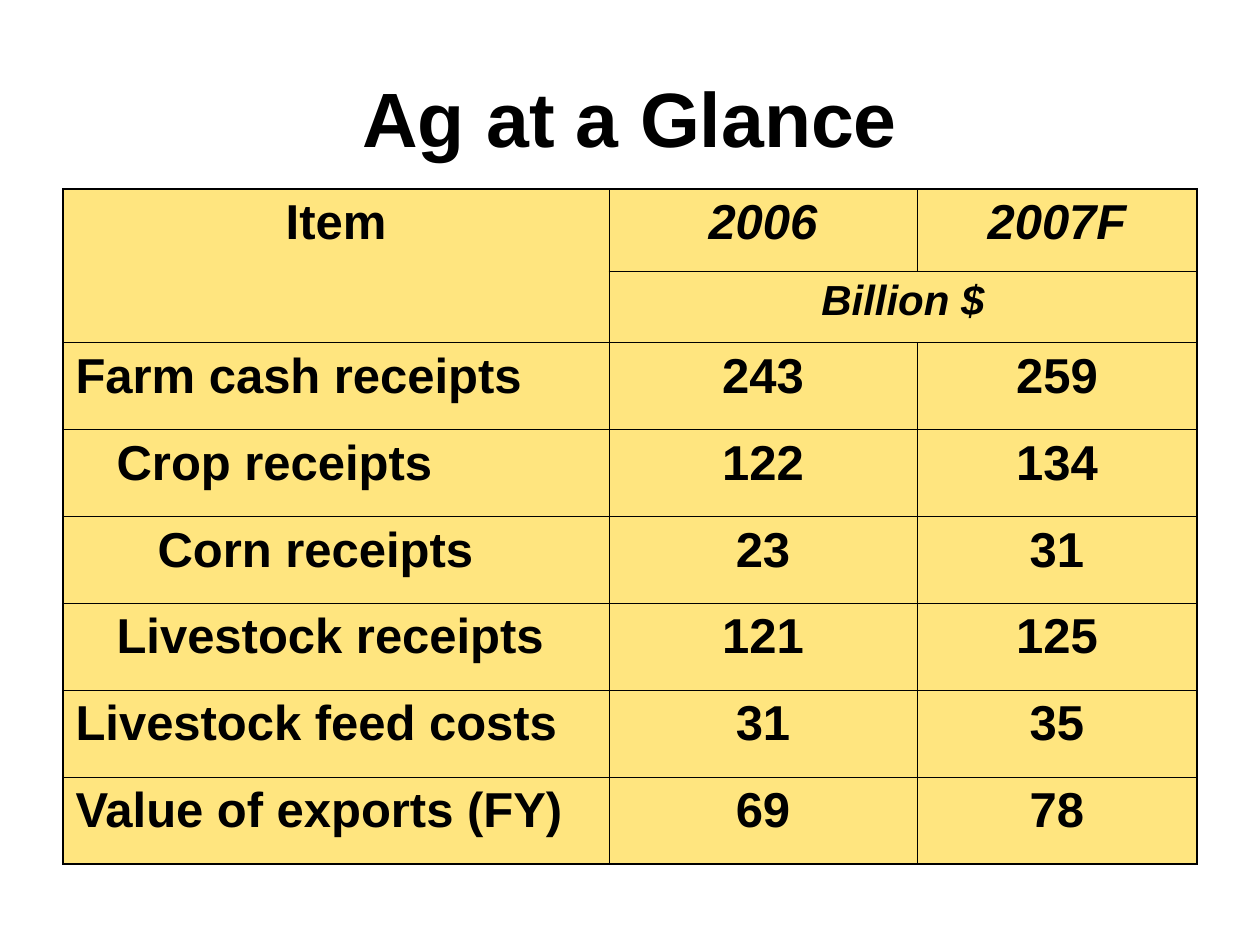
import pptx
import pptx.dml.color
import pptx.enum.text
import pptx.oxml
import pptx.oxml.ns
import pptx.util

THEME = {
    "font": "Arial",
    "text": "000000",
    "cell": "FFCC00",
    "cell_alpha": 50000,
    "border": "000000",
    "title_size": 44,
    "body_size": 28,
    "unit_size": 24,
    "outer_line": 1.08,
    "inner_line": 0.45,
}
SCALE = 914400 / 126
INDENT = 41
LEFT, TABLE_TOP = 63, 189
COLUMN_WIDTHS = [546, 308, 280]
ROW_HEIGHTS = [82, 67] + [87] * 6

ROWS = [
    ("Item", "2006", "2007F"),
    ("", "Billion $", ""),
    ("Farm cash receipts", "243", "259"),
    ("Crop receipts", "122", "134"),
    ("Corn receipts", "23", "31"),
    ("Livestock receipts", "121", "125"),
    ("Livestock feed costs", "31", "35"),
    ("Value of exports (FY)", "69", "78"),
]
LEVELS = {"Crop receipts": 1, "Corn receipts": 2, "Livestock receipts": 1}


def px(value):
    return pptx.util.Emu(round(value * SCALE))


def write(frame, text, size=THEME["body_size"], italic=False, centred=True, level=0):
    para = frame.paragraphs[0]
    align = pptx.enum.text.PP_ALIGN
    para.alignment = align.CENTER if centred else align.LEFT
    if level:
        para._p.get_or_add_pPr().set("marL", str(px(INDENT * level)))
    span = para.add_run()
    span.text = text
    span.font.name = THEME["font"]
    span.font.size = pptx.util.Pt(size)
    span.font.bold = True
    span.font.italic = italic
    span.font.color.rgb = pptx.dml.color.RGBColor.from_string(THEME["text"])


deck = pptx.Presentation()
deck.slide_width = px(1260)
deck.slide_height = px(945)
page = deck.slides.add_slide(deck.slide_layouts[6])

title_box = page.shapes.add_textbox(px(LEFT), px(38), px(1134), px(158))
title_box.text_frame.word_wrap = True
title_box.text_frame.vertical_anchor = pptx.enum.text.MSO_ANCHOR.MIDDLE
write(title_box.text_frame, "Ag at a Glance", size=THEME["title_size"])

table = page.shapes.add_table(
    len(ROWS), len(COLUMN_WIDTHS), px(LEFT), px(TABLE_TOP),
    px(sum(COLUMN_WIDTHS)), px(sum(ROW_HEIGHTS)),
).table
table.first_row = False
table.horz_banding = False
for column, width in zip(table.columns, COLUMN_WIDTHS):
    column.width = px(width)
for row, height in zip(table.rows, ROW_HEIGHTS):
    row.height = px(height)
table.cell(0, 0).merge(table.cell(1, 0))
table.cell(1, 1).merge(table.cell(1, 2))

for r, texts in enumerate(ROWS):
    for c, text in enumerate(texts):
        cell = table.cell(r, c)
        cell.fill.solid()
        cell.fill.fore_color.rgb = pptx.dml.color.RGBColor.from_string(THEME["cell"])
        properties = cell._tc.get_or_add_tcPr()
        colour = properties.find(".//" + pptx.oxml.ns.qn("a:srgbClr"))
        colour.append(pptx.oxml.parse_xml(
            f'<a:alpha {pptx.oxml.ns.nsdecls("a")} val="{THEME["cell_alpha"]}"/>'
        ))
        outer_edges = {
            "lnL": c == 0,
            "lnR": c + cell.span_width == len(COLUMN_WIDTHS),
            "lnT": r == 0,
            "lnB": r + cell.span_height == len(ROWS),
        }
        for position, (edge, outer) in enumerate(outer_edges.items()):
            weight = pptx.util.Pt(THEME["outer_line" if outer else "inner_line"])
            properties.insert(position, pptx.oxml.parse_xml(
                f'<a:{edge} {pptx.oxml.ns.nsdecls("a")} w="{weight}"><a:solidFill>'
                f'<a:srgbClr val="{THEME["border"]}"/></a:solidFill></a:{edge}>'
            ))
        if text:
            write(
                cell.text_frame, text,
                size=THEME["unit_size" if r == 1 else "body_size"],
                italic=r < 2 and c > 0,
                centred=r < 2 or c > 0,
                level=LEVELS.get(text, 0),
            )

deck.save("out.pptx")
